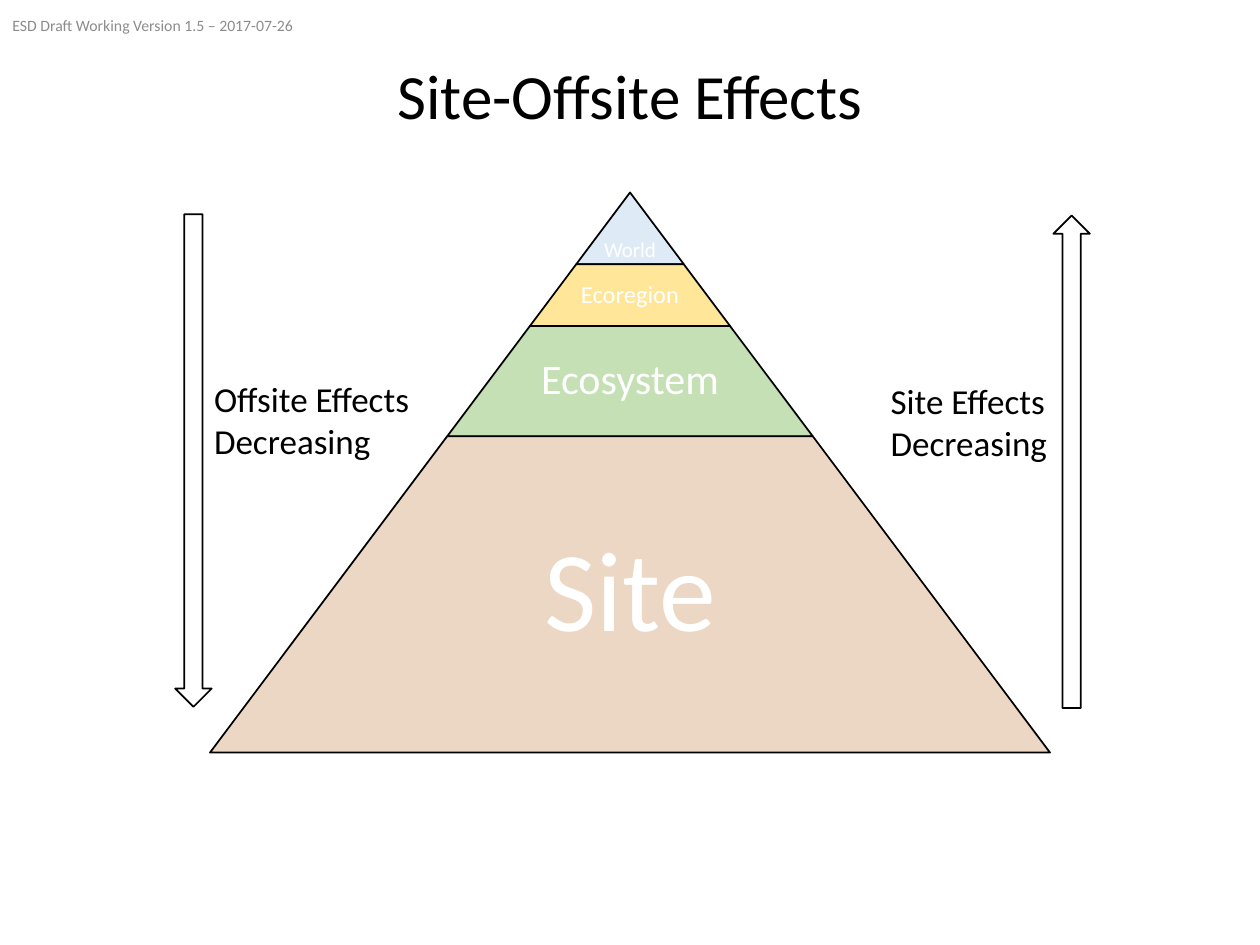
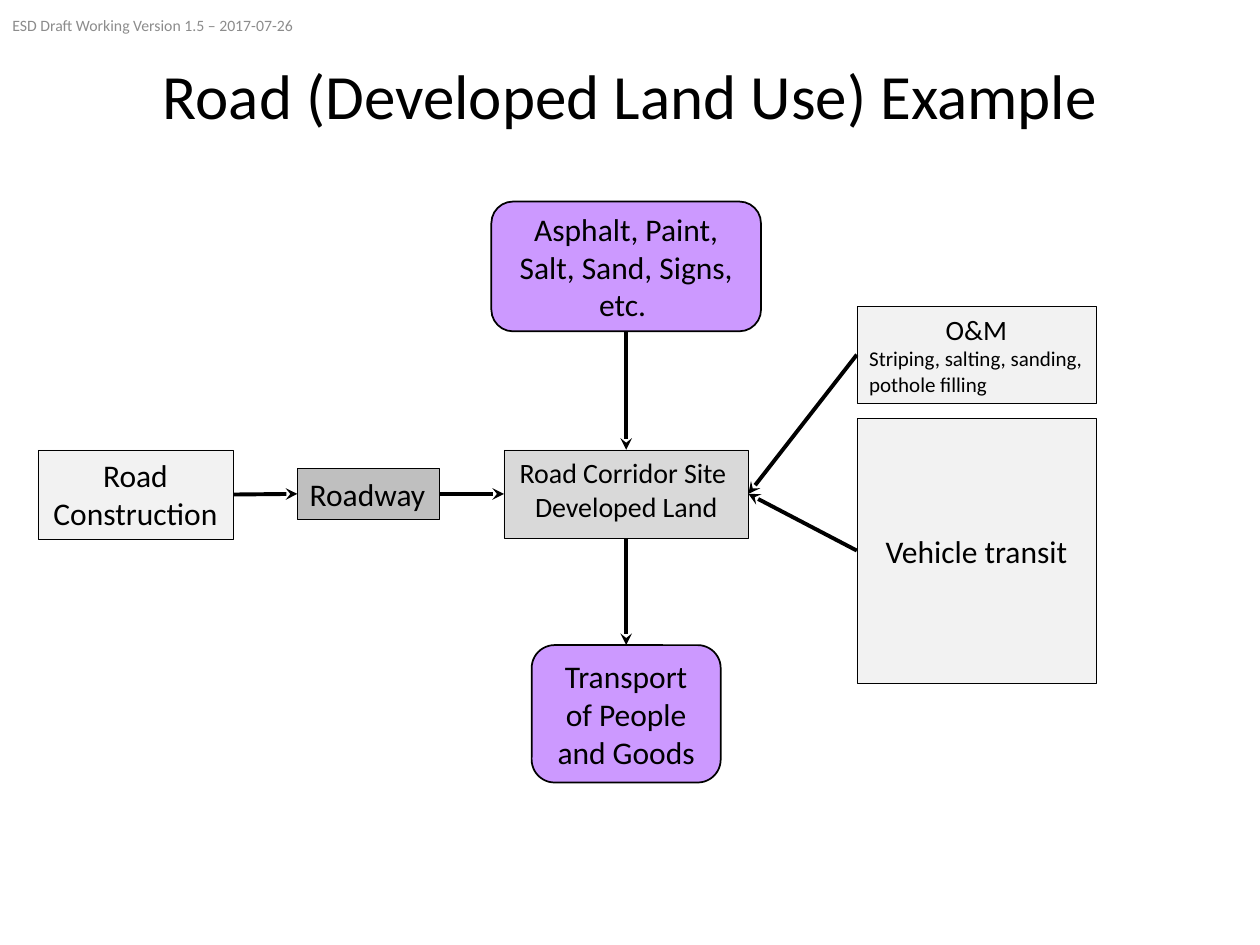
from dataclasses import dataclass
from typing import NamedTuple

from lxml import etree
from pptx import Presentation
from pptx.dml.color import RGBColor
from pptx.enum.shapes import MSO_CONNECTOR, MSO_SHAPE
from pptx.enum.text import MSO_ANCHOR, PP_ALIGN
from pptx.oxml.ns import qn
from pptx.util import Inches, Pt

LEFT, CENTER = PP_ALIGN.LEFT, PP_ALIGN.CENTER
TOP, MIDDLE, BOTTOM = MSO_ANCHOR.TOP, MSO_ANCHOR.MIDDLE, MSO_ANCHOR.BOTTOM
RECT, ROUND = MSO_SHAPE.RECTANGLE, MSO_SHAPE.ROUNDED_RECTANGLE
TRAPEZOID = MSO_SHAPE.TRAPEZOID
UP, DOWN = MSO_SHAPE.UP_ARROW, MSO_SHAPE.DOWN_ARROW
STRAIGHT = MSO_CONNECTOR.STRAIGHT
# Connection sites of a rectangle
N, W, S, E = range(4)

COLS, ROWS = 100, 75
WIDTH, HEIGHT = Inches(10), Inches(7.5)


@dataclass(frozen=True)
class Theme:
    font: str = "Calibri"
    ink: str = "000000"
    paper: str = "FFFFFF"
    muted: str = "8C8C8C"
    world: str = "DEEBF7"
    region: str = "FFE699"
    system: str = "C5E0B4"
    site: str = "EBD7C3"
    land: str = "D9D9D9"
    action: str = "F2F2F2"
    road: str = "BFBFBF"
    goods: str = "CC99FF"
    title: int = 36
    stamp: int = 9
    side: int = 20
    node: int = 18
    head: int = 16
    note: int = 12
    tiers: tuple = (12, 14, 24, 65)
    thin: float = 0.25
    edge: float = 1
    flow: float = 2.25


T = Theme()


class Box(NamedTuple):
    """A region in grid columns and rows."""
    x: float
    y: float
    w: float
    h: float

    def sub(self, x, y, w, h):
        """Box placed from this box's top left corner."""
        return Box(self.x + x, self.y + y, w, h)

    def place(self):
        """Left, top, width and height in slide lengths."""
        return (round(self.x * WIDTH / COLS), round(self.y * HEIGHT / ROWS),
                round(self.w * WIDTH / COLS), round(self.h * HEIGHT / ROWS))


PAGE = Box(0, 0, COLS, ROWS)


def rgb(code):
    return RGBColor.from_string(code)


def write(shape, lines, color=T.ink, anchor=TOP, wrap=True, space=None, inset=None):
    """Fill a shape with lines given as (text, size, alignment)."""
    frame = shape.text_frame
    frame.word_wrap = wrap
    frame.vertical_anchor = anchor
    if inset is not None:
        frame.margin_left = frame.margin_right = Inches(inset)
        frame.margin_top = frame.margin_bottom = Inches(inset)
    frame.text = "\n".join(line[0] for line in lines)
    for para, (_, size, align) in zip(frame.paragraphs, lines):
        para.alignment = align
        if space:
            para.line_spacing = space
        for run in para.runs:
            run.font.name = T.font
            run.font.size = Pt(size)
            run.font.color.rgb = rgb(color)


def label(slide, box, lines, **style):
    write(slide.shapes.add_textbox(*box.place()), lines, **style)


def draw(slide, kind, box, fill=None, line=T.edge):
    shape = slide.shapes.add_shape(kind, *box.place())
    shape.shadow.inherit = False
    if fill:
        shape.fill.solid()
        shape.fill.fore_color.rgb = rgb(fill)
    else:
        shape.fill.background()
    shape.line.color.rgb = rgb(T.ink)
    shape.line.width = Pt(line)
    return shape


def link(slide, start, out, end, into):
    """Arrow from one node's connection site to another's."""
    wire = slide.shapes.add_connector(STRAIGHT, 0, 0, 0, 0)
    wire.begin_connect(start, out)
    wire.end_connect(end, into)
    wire.line.color.rgb = rgb(T.ink)
    wire.line.width = Pt(T.flow)
    props = wire.element.spPr
    etree.SubElement(props.find(qn("a:ln")), qn("a:tailEnd"), type="stealth")
    etree.SubElement(props, qn("a:effectLst"))


def frame(deck, title):
    """Add a slide with its title and version stamp."""
    slide = deck.slides.add_slide(deck.slide_layouts[6])
    label(slide, PAGE.sub(6.9, 4, 86.2, 7.8), [(title, T.title, CENTER)],
          anchor=MIDDLE, space=0.9)
    label(slide, PAGE.sub(0, 0, 33.8, 4),
          [("ESD Draft Working Version 1.5 – 2017-07-26", T.stamp, LEFT)],
          color=T.muted, anchor=MIDDLE)
    return slide


def pyramid(slide, box):
    tiers = [("World", 5.7, T.world, BOTTOM, 0.02),
             ("Ecoregion", 4.9, T.region, MIDDLE, 0.02),
             ("Ecosystem", 8.75, T.system, MIDDLE, 0.03),
             ("Site", 25.1, T.site, MIDDLE, 0.09)]
    slope = box.w / 2 / box.h
    depth = 0
    for (name, tall, fill, anchor, inset), size in zip(tiers, T.tiers):
        wide = 2 * slope * (depth + tall)
        tier = box.sub((box.w - wide) / 2, depth, wide, tall)
        draw(slide, TRAPEZOID, tier, fill).adjustments[0] = slope
        label(slide, tier, [(name, size, CENTER)], color=T.paper,
              anchor=anchor, space=0.9, inset=inset)
        depth += tall


def trend(slide, box, kind, name, shift, start, wide):
    """Tall arrow at column shift, with a label at column start."""
    draw(slide, kind, box.sub(shift, 0, 2.9, box.h))
    label(slide, box.sub(start, 12.5, wide, 7.7),
          [(name, T.side, LEFT), ("Decreasing", T.side, LEFT)], wrap=False)


def node(slide, box, lines, fill, kind=RECT, line=T.thin, **style):
    shape = draw(slide, kind, box, fill, line)
    write(shape, lines, **style)
    return shape


def flow(slide, box):
    def large(text, align=CENTER):
        return [(text, T.node, align)]

    mid = dict(anchor=MIDDLE)
    soft = dict(kind=ROUND, line=T.edge, **mid)
    land = node(slide, box.sub(37, 19.7, 19.4, 7),
                [("Road Corridor Site ", T.head, CENTER),
                 ("Developed Land", T.head, CENTER)], T.land)
    care = node(slide, box.sub(65, 8.3, 19, 7.7),
                [("O&M", T.head, CENTER),
                 ("Striping, salting, sanding, pothole filling", T.note, LEFT)],
                T.action)
    cars = node(slide, box.sub(65, 17.2, 19, 21), large("Vehicle transit"),
                T.action, **mid)
    build = node(slide, box.sub(0, 19.7, 15.5, 7.1), large("Road Construction"),
                 T.action)
    road = node(slide, box.sub(20.6, 21.2, 11.3, 4), large("Roadway", LEFT),
                T.road, wrap=False)
    goods = node(slide, box.sub(39.2, 35.2, 15, 10.9),
                 large("Transport of People and Goods"), T.goods, **soft)
    stock = node(slide, box.sub(36, 0, 21.4, 10.3),
                 large("Asphalt, Paint, Salt, Sand, Signs, etc. "), T.goods, **soft)
    for ends in [(care, W, land, E), (cars, W, land, E), (build, E, road, W),
                 (road, E, land, W), (land, S, goods, N), (stock, S, land, N)]:
        link(slide, *ends)


def main():
    deck = Presentation()
    deck.slide_width, deck.slide_height = WIDTH, HEIGHT

    slide = frame(deck, "Site-Offsite Effects")
    pyramid(slide, Box(16.67, 15.28, 66.67, 44.45))
    trend(slide, Box(69.7, 17.1, 16.8, 39.1), UP, "Site Effects", 13.9, 0, 14.6)
    trend(slide, Box(13.9, 17, 19.9, 39.1), DOWN, "Offsite Effects", 0, 2.1, 17.8)

    flow(frame(deck, "Road (Developed Land Use) Example"), Box(3, 16, 84, 46.1))
    deck.save("out.pptx")


if __name__ == "__main__":
    main()
